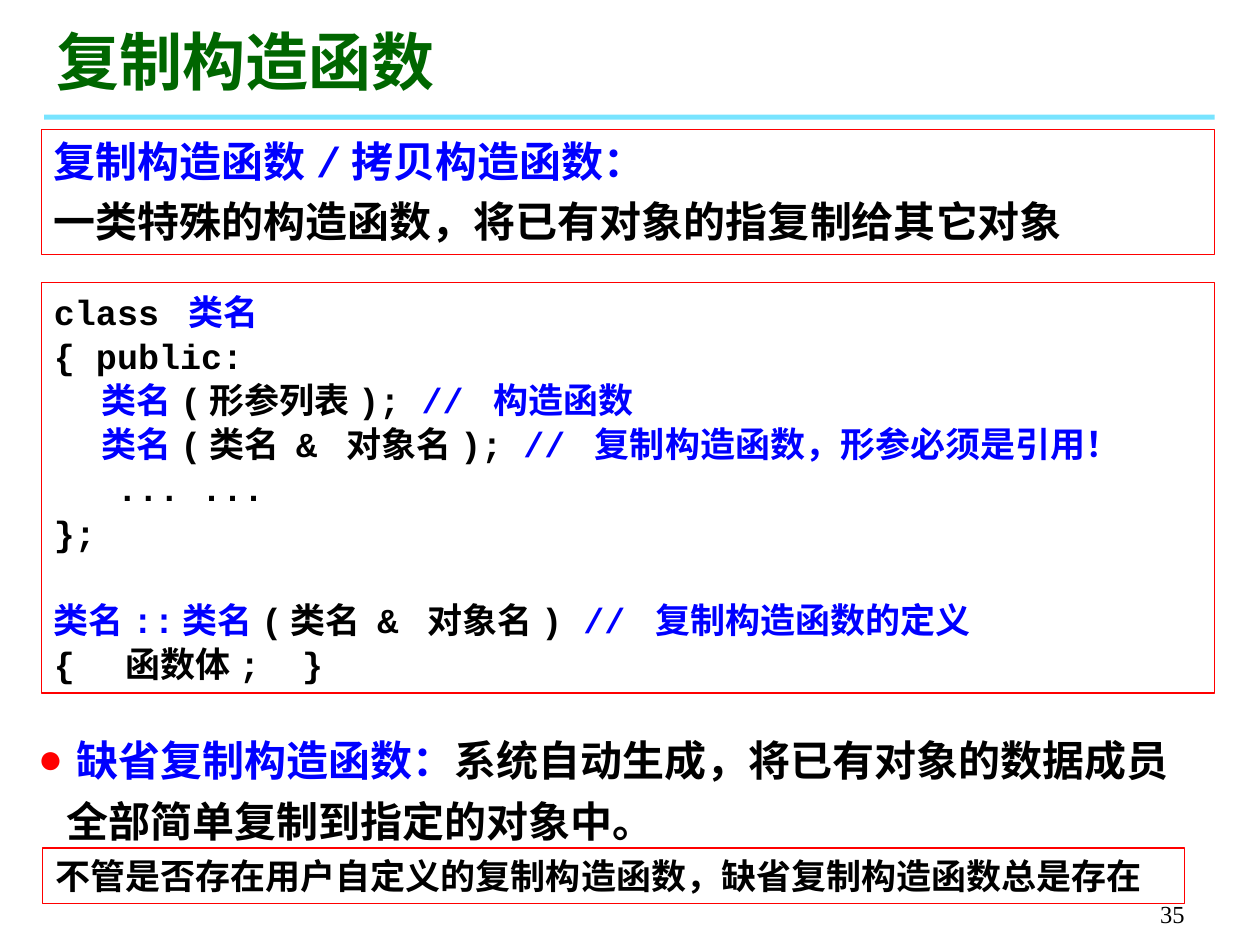
from dataclasses import dataclass
from lxml import etree
from pptx import Presentation
from pptx.dml.color import RGBColor as RGB
from pptx.enum.shapes import MSO_SHAPE as SHAPE
from pptx.enum.text import MSO_ANCHOR as ANCHOR, MSO_AUTO_SIZE as AUTO, PP_ALIGN as ALIGN
from pptx.oxml.ns import qn
from pptx.util import Inches, Pt


@dataclass(frozen=True)
class Theme:
    black: str = "000000"
    blue: str = "0000FF"
    green: str = "006600"
    red: str = "FF0000"
    sky: str = "00CCFF"
    serif: str = "Times New Roman"
    mono: str = "Courier New"
    title: int = 36
    body: int = 24
    code: int = 20
    number: int = 14
    border: float = 0.75


class SlideBuilder:
    def __init__(self, prs, theme):
        self.theme = theme
        self.slide = prs.slides.add_slide(prs.slide_layouts[1])

    def place(self, sp, at):
        for name, value in zip(("left", "top", "width", "height"), at):
            setattr(sp, name, Inches(value))

    def fill_text(self, sp, paragraphs, size, font=None, bold=True, anchor=ANCHOR.TOP, **fmt):
        tf = sp.text_frame
        for name, value in dict(word_wrap=True, auto_size=AUTO.NONE, vertical_anchor=anchor).items():
            setattr(tf, name, value)
        for i, (runs, extra) in enumerate(paragraphs):
            p = tf.add_paragraph() if i else tf.paragraphs[0]
            base = dict(alignment=ALIGN.LEFT, space_before=Pt(0), space_after=Pt(0))
            indent = extra.get("indent")
            for name, value in {**base, **fmt, **extra}.items():
                if name != "indent":
                    setattr(p, name, value)
            if indent:
                p._p.get_or_add_pPr().set("marL", str(Inches(indent)))
            for text, color, *face in runs:
                r = p.add_run()
                r.text = text
                style = dict(name=face[0] if face else font or self.theme.serif,
                             size=Pt(size), bold=bold)
                for name, value in style.items():
                    setattr(r.font, name, value)
                r.font.color.rgb = RGB.from_string(color)
        return tf

    def title(self, text, at):
        sp = self.slide.shapes.title
        self.place(sp, at)
        self.fill_text(sp, [([(text, self.theme.green)], {})], self.theme.title,
                       anchor=ANCHOR.BOTTOM)

    def bullet(self, runs, at, indent):
        sp = self.slide.placeholders[1]
        self.place(sp, at)
        tf = self.fill_text(sp, [(runs, {})], self.theme.body, line_spacing=1.2)
        pPr = tf.paragraphs[0]._p.get_or_add_pPr()
        pPr.set("marL", str(Inches(indent)))
        pPr.set("indent", str(-Inches(indent)))
        color = etree.SubElement(pPr, qn("a:buClr"))
        etree.SubElement(color, qn("a:srgbClr"), val=self.theme.red)
        etree.SubElement(pPr, qn("a:buFont"), typeface=self.theme.serif)
        etree.SubElement(pPr, qn("a:buChar"), char="●")

    def rect(self, at):
        sp = self.slide.shapes.add_shape(SHAPE.RECTANGLE, *map(Inches, at))
        sp.shadow.inherit = False
        return sp

    def rule(self, at, opacity):
        sp = self.rect(at)
        sp.line.fill.background()
        sp.fill.solid()
        sp.fill.fore_color.rgb = RGB.from_string(self.theme.sky)
        color = sp._element.spPr.find(".//" + qn("a:srgbClr"))
        etree.SubElement(color, qn("a:alpha"), val=str(opacity * 1000))

    def frame(self, paragraphs, at, size, **fmt):
        sp = self.rect(at)
        sp.fill.background()
        sp.line.color.rgb = RGB.from_string(self.theme.red)
        sp.line.width = Pt(self.theme.border)
        self.fill_text(sp, paragraphs, size, **fmt)

    def label(self, text, at):
        sp = self.slide.shapes.add_textbox(*map(Inches, at))
        self.fill_text(sp, [([(text, self.theme.black)], {})], self.theme.number,
                       bold=False, anchor=ANCHOR.BOTTOM, alignment=ALIGN.RIGHT)


prs = Presentation()
prs.slide_width, prs.slide_height = Inches(10), Inches(7.5)
t = Theme()
s = SlideBuilder(prs, t)

s.rule((0.35, 0.91, 9.29, 0.04), 53)
s.label("35", (7.42, 6.92, 2.08, 0.5))
s.title("复制构造函数", (0.35, 0.13, 5.36, 0.7))

definition = [
    ([("复制构造函数", t.blue), ("/", t.blue, t.mono), ("拷贝构造函数：", t.blue)], {}),
    ([("一类特殊的构造函数，将已有对象的指复制给其它对象", t.black)], {}),
]
s.frame(definition, (0.33, 1.03, 9.31, 0.99), t.body, space_after=Pt(5))

s.bullet([(" ", t.black), ("缺省复制构造函数：", t.blue),
          ("系统自动生成，将已有对象的数据成员全部简单复制到指定的对象中。", t.black)],
         (0.2, 5.7, 9.45, 1.07), 0.23)

member = dict(indent=0.38)
code = [
    ([("class ", t.black), ("类名", t.blue)], {}),
    ([("{ public:", t.black)], {}),
    ([("类名", t.blue), ("(形参列表); ", t.black), ("// 构造函数", t.blue)], member),
    ([("类名", t.blue), ("(类名 & 对象名); ", t.black),
      ("// 复制构造函数，形参必须是引用！", t.blue)], member),
    ([("... ...", t.black)], dict(indent=0.5)),
    ([("};", t.black)], {}),
    ([("类名::类名", t.blue), ("(类名 & 对象名) ", t.black),
      ("// 复制构造函数的定义", t.blue)], dict(space_before=Pt(25))),
    ([("{  函数体;  }", t.black)], {}),
]
s.frame(code, (0.33, 2.24, 9.31, 3.26), t.code, font=t.mono, line_spacing=1.05)

s.frame([([("不管是否存在用户自定义的复制构造函数，缺省复制构造函数总是存在", t.black)], {})],
        (0.34, 6.73, 9.06, 0.44), t.code)

prs.save("out.pptx")
